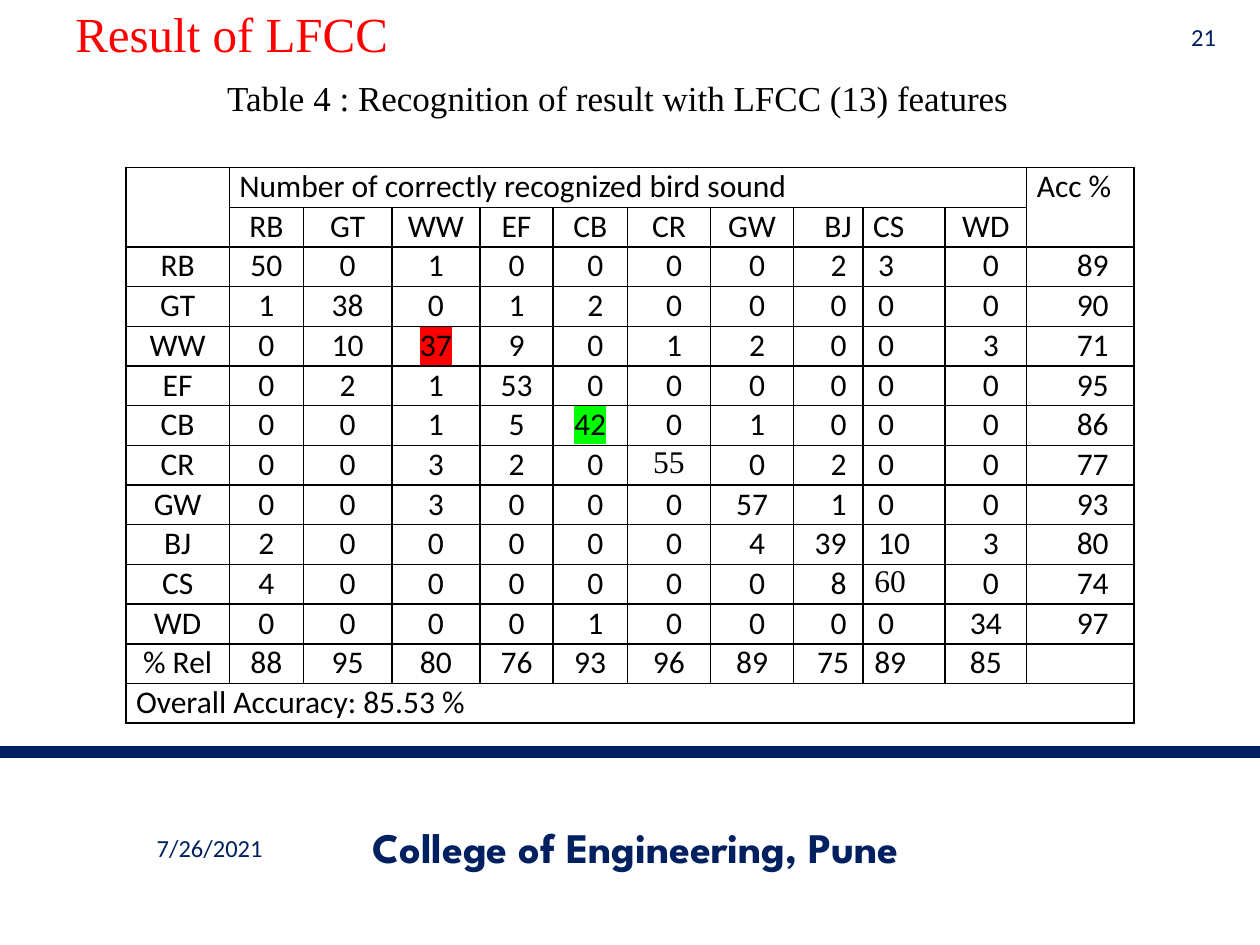
import pptx
import pptx.dml.color
import pptx.enum.shapes
import pptx.enum.text
import pptx.oxml
import pptx.oxml.ns
import pptx.util
from pptx.util import Inches

ALIGN = pptx.enum.text.PP_ALIGN
ANCHOR = pptx.enum.text.MSO_ANCHOR
NAVY, BLACK, RED, GREEN = "002060", "000000", "FF0000", "00FF00"
SERIF, SANS = "Times New Roman", "Calibri"

BIRDS = ["RB", "GT", "WW", "EF", "CB", "CR", "GW", "BJ", "CS", "WD"]
COUNTS = [
    [50, 0, 1, 0, 0, 0, 0, 2, 3, 0],
    [1, 38, 0, 1, 2, 0, 0, 0, 0, 0],
    [0, 10, 37, 9, 0, 1, 2, 0, 0, 3],
    [0, 2, 1, 53, 0, 0, 0, 0, 0, 0],
    [0, 0, 1, 5, 42, 0, 1, 0, 0, 0],
    [0, 0, 3, 2, 0, 55, 0, 2, 0, 0],
    [0, 0, 3, 0, 0, 0, 57, 1, 0, 0],
    [2, 0, 0, 0, 0, 0, 4, 39, 10, 3],
    [4, 0, 0, 0, 0, 0, 0, 8, 60, 0],
    [0, 0, 0, 0, 1, 0, 0, 0, 0, 34],
]
ACCURACY = [89, 90, 71, 95, 86, 77, 93, 80, 74, 97]
RELIABILITY = [88, 95, 80, 76, 93, 96, 89, 75, 89, 85]
COLUMN_WIDTHS = [0.82, 0.59, 0.7, 0.7, 0.58, 0.59, 0.66, 0.66, 0.55, 0.65, 0.65, 0.85]
HIGHLIGHTS = {(4, 3): RED, (6, 5): GREEN}
SERIF_CELLS = {(7, 6), (10, 9)}
BJ_COLUMN, CS_COLUMN, ACCURACY_COLUMN = 8, 9, 11


def rgb(color):
    """Turn a hex string into a colour."""
    return pptx.dml.color.RGBColor.from_string(color)


def element(xml):
    """Build an element in the drawing namespace."""
    return pptx.oxml.parse_xml(xml.replace(">", f" {pptx.oxml.ns.nsdecls('a')}>", 1))


def format_runs(paragraph, size, font, color, bold=False):
    """Apply size, font and colour to the runs of a paragraph."""
    for run in paragraph.runs:
        run.font.size = pptx.util.Pt(size)
        run.font.name = font
        run.font.bold = bold
        run.font.color.rgb = rgb(color)


def add_text(slide, box, text, size, font, color, align, anchor=ANCHOR.MIDDLE, bold=False):
    """Place one line of text in a box given in inches."""
    shape = slide.shapes.add_textbox(*map(Inches, box))
    frame = shape.text_frame
    frame.word_wrap = True
    frame.vertical_anchor = anchor
    frame.text = text
    frame.paragraphs[0].alignment = align
    format_runs(frame.paragraphs[0], size, font, color, bold)


def add_header(slide, left, top):
    """Place the title, slide number and table caption."""
    add_text(slide, (left, top, 9, 0.68), "Result of LFCC", 28, SERIF, RED, ALIGN.LEFT)
    add_text(slide, (left + 8.75, top + 0.23, 0.5, 0.28), "21", 14, SANS, NAVY, ALIGN.RIGHT)
    caption = "Table 4 : Recognition of result with LFCC (13) features"
    add_text(slide, (left + 0.03, top + 0.64, 8.75, 0.77), caption, 20, SERIF, BLACK,
             ALIGN.CENTER, ANCHOR.TOP)


def add_footer(slide, top, width):
    """Place the rule with the date and college name below it."""
    rule = slide.shapes.add_connector(pptx.enum.shapes.MSO_CONNECTOR.STRAIGHT,
                                      0, Inches(top), Inches(width), Inches(top))
    rule.line.color.rgb = rgb(NAVY)
    rule.line.width = pptx.util.Pt(6.5)
    rule._element.spPr.append(element("<a:effectLst></a:effectLst>"))
    add_text(slide, (0.5, top + 0.56, 2.33, 0.4), "7/26/2021", 14, SANS, NAVY, ALIGN.CENTER)
    add_text(slide, (2.42, top + 0.55, 5.25, 0.4), "College of Engineering, Pune", 24,
             "League Spartan", NAVY, ALIGN.CENTER, bold=True)


def style_cell(cell):
    """Give a cell a thin black border, no fill and no insets."""
    cell.margin_left = cell.margin_right = cell.margin_top = cell.margin_bottom = 0
    properties = cell._tc.get_or_add_tcPr()
    for side in "LRTB":
        properties.append(element(
            f'<a:ln{side} w="12700"><a:solidFill><a:srgbClr val="{BLACK}"/>'
            f'</a:solidFill></a:ln{side}>'))
    cell.fill.background()


def cell_layout(row, column, text):
    """Return the alignment with left and right indents in inches."""
    if row in (0, 13):
        return ALIGN.LEFT, 0.08, 0
    if column == ACCURACY_COLUMN:
        return ALIGN.RIGHT, 0.08, 0.2
    if column == BJ_COLUMN:
        return ALIGN.RIGHT, 0.08, {1: 0.09, 12: 0.11}.get(row, 0.13)
    if column == CS_COLUMN:
        return ALIGN.LEFT, {1: 0.08, 10: 0.09, 12: 0.09}.get(row, 0.12), 0
    if len(text) > 1:
        return ALIGN.CENTER, 0.07, 0.07
    return ALIGN.CENTER, 0.08 if column > 4 else 0, 0


def fill_cell(cell, row, column, text):
    """Write and format the text of one cell."""
    cell.text = text
    paragraph = cell.text_frame.paragraphs[0]
    align, left, right = cell_layout(row, column, text)
    paragraph.alignment = align
    properties = paragraph._p.get_or_add_pPr()
    properties.set("marL", str(Inches(left)))
    properties.set("marR", str(Inches(right)))
    format_runs(paragraph, 18, SERIF if (row, column) in SERIF_CELLS else SANS, BLACK)
    if (row, column) in HIGHLIGHTS:
        fill = paragraph.runs[0].font._element.find(pptx.oxml.ns.qn("a:solidFill"))
        fill.addnext(element(
            f'<a:highlight><a:srgbClr val="{HIGHLIGHTS[row, column]}"/></a:highlight>'))


def add_result_table(slide, left, top, width, height):
    """Place the confusion table of the bird sounds."""
    rows = [["", "Number of correctly recognized bird sound"] + [""] * 9 + ["Acc %"],
            ["", *BIRDS, ""]]
    rows += [[bird, *counts, accuracy]
             for bird, counts, accuracy in zip(BIRDS, COUNTS, ACCURACY)]
    rows += [["% Rel", *RELIABILITY, ""], ["Overall Accuracy: 85.53 %"] + [""] * 11]
    frame = slide.shapes.add_table(len(rows), len(COLUMN_WIDTHS), Inches(left), Inches(top),
                                   Inches(width), Inches(height))
    table = frame.table
    table.first_row = table.horz_banding = False
    for column, column_width in zip(table.columns, COLUMN_WIDTHS):
        column.width = Inches(column_width)
    for row, values in enumerate(rows):
        table.rows[row].height = Inches(height / len(rows))
        for column, value in enumerate(values):
            cell = table.cell(row, column)
            style_cell(cell)
            if value != "":
                fill_cell(cell, row, column, str(value))
    for first, last in [((0, 0), (1, 0)), ((0, 1), (0, 10)), ((0, 11), (1, 11)),
                        ((13, 0), (13, 11))]:
        table.cell(*first).merge(table.cell(*last))


def main():
    """Build and save the slide."""
    presentation = pptx.Presentation()
    presentation.slide_width, presentation.slide_height = Inches(10), Inches(7.5)
    slide = presentation.slides.add_slide(presentation.slide_layouts[6])
    add_footer(slide, 5.97, 10)
    add_header(slide, 0.5, -0.08)
    add_result_table(slide, 1, 1.33, 8, 4.41)
    presentation.save("out.pptx")


if __name__ == "__main__":
    main()
